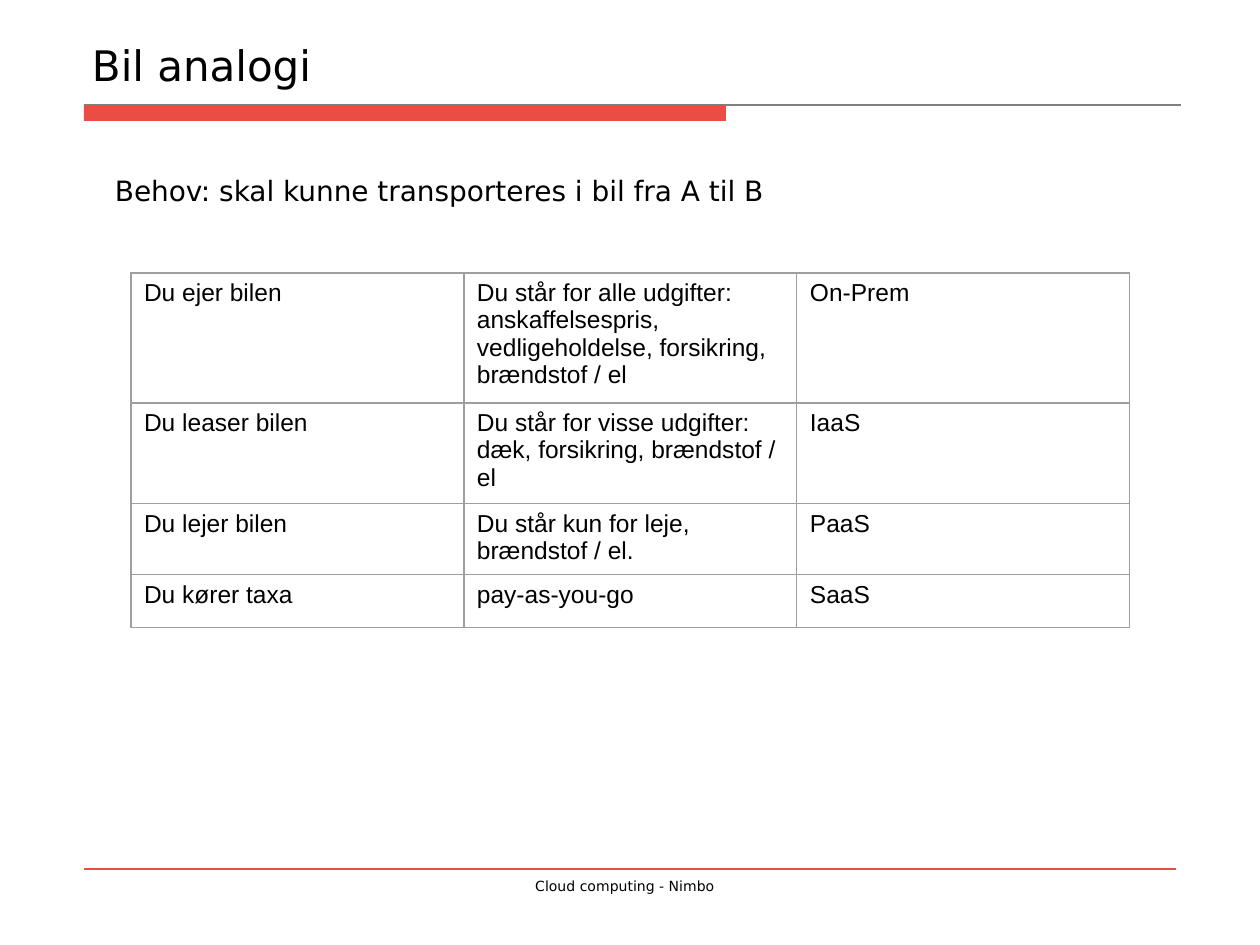
"""Builds the slide that compares ways of using a car with cloud service models."""
from lxml import etree
from pptx import Presentation
from pptx.dml.color import RGBColor
from pptx.enum.shapes import MSO_CONNECTOR, MSO_SHAPE
from pptx.enum.text import MSO_ANCHOR, PP_ALIGN
from pptx.oxml.ns import qn
from pptx.util import Emu, Pt

STRAIGHT = MSO_CONNECTOR.STRAIGHT
RECTANGLE = MSO_SHAPE.RECTANGLE
TOP, BOTTOM = MSO_ANCHOR.TOP, MSO_ANCHOR.BOTTOM
LEFT, CENTER = PP_ALIGN.LEFT, PP_ALIGN.CENTER

EMU_PER_PX = 914400 // 126
COLORS = {"accent": "EA4D44", "rule": "808080", "border": "9E9E9E", "text": "000000"}
HEADING_FONT, TABLE_FONT = "DejaVu Sans", "Arial"
INSET, CELL_INSET = 13, 6
COLUMN_WIDTH = 333
ROW_HEIGHTS = [130, 101, 71, 53]
ROWS = [
    ("Du ejer bilen",
     "Du står for alle udgifter: anskaffelsespris, vedligeholdelse, forsikring, brændstof / el",
     "On-Prem"),
    ("Du leaser bilen", "Du står for visse udgifter: dæk, forsikring, brændstof / el", "IaaS"),
    ("Du lejer bilen", "Du står kun for leje, brændstof / el.", "PaaS"),
    ("Du kører taxa", "pay-as-you-go", "SaaS"),
]


def px(length):
    return Emu(length * EMU_PER_PX)


def color(name):
    return RGBColor.from_string(COLORS[name])


def add_span(para, text, size, font):
    span = para.add_run()
    span.text = text
    span.font.size = Pt(size)
    span.font.name = font
    span.font.color.rgb = color("text")


def add_text(page, bounds, text, size, anchor=TOP, align=LEFT):
    box = page.shapes.add_textbox(*map(px, bounds))
    frame = box.text_frame
    frame.word_wrap = True
    frame.vertical_anchor = anchor
    frame.margin_left = frame.margin_right = px(INSET)
    frame.margin_top = frame.margin_bottom = px(INSET)
    para = frame.paragraphs[0]
    para.alignment = align
    add_span(para, text, size, HEADING_FONT)


def add_rule(page, left, right, y, color_name):
    rule = page.shapes.add_connector(STRAIGHT, px(left), px(y), px(right), px(y))
    rule.line.color.rgb = color(color_name)
    rule.line.width = Pt(0.75)
    properties = rule._element.find(qn("p:spPr"))
    etree.SubElement(properties, qn("a:effectLst"))


def add_bar(page, bounds):
    bar = page.shapes.add_shape(RECTANGLE, *map(px, bounds))
    bar.shadow.inherit = False
    bar.fill.solid()
    bar.fill.fore_color.rgb = color("accent")
    bar.line.fill.background()


def set_borders(cell):
    properties = cell._tc.get_or_add_tcPr()
    for side in ("lnL", "lnR", "lnT", "lnB"):
        border = etree.SubElement(properties, qn(f"a:{side}"), w=str(Pt(0.75)))
        fill = etree.SubElement(border, qn("a:solidFill"))
        etree.SubElement(fill, qn("a:srgbClr"), val=COLORS["border"])


def fill_cell(cell, text):
    set_borders(cell)
    cell.fill.background()
    cell.margin_left = cell.margin_right = px(INSET)
    cell.margin_top = cell.margin_bottom = px(CELL_INSET)
    add_span(cell.text_frame.paragraphs[0], text, 14, TABLE_FONT)


def add_comparison(page, left, top):
    columns = len(ROWS[0])
    bounds = (left, top, columns * COLUMN_WIDTH, sum(ROW_HEIGHTS))
    table = page.shapes.add_table(len(ROWS), columns, *map(px, bounds)).table
    table.first_row = table.horz_banding = False
    for column in table.columns:
        column.width = px(COLUMN_WIDTH)
    for row, height, texts in zip(table.rows, ROW_HEIGHTS, ROWS):
        row.height = px(height)
        for cell, text in zip(row.cells, texts):
            fill_cell(cell, text)


def main():
    deck = Presentation()
    deck.slide_width, deck.slide_height = px(1260), px(945)
    page = deck.slides.add_slide(deck.slide_layouts[6])
    add_rule(page, 84, 1176, 869, "accent")
    add_rule(page, 84, 1181, 105, "rule")
    add_bar(page, (84, 105, 642, 16))
    add_text(page, (232, 869, 786, 55), "Cloud computing - Nimbo", 8, align=CENTER)
    add_text(page, (79, 20, 1102, 83), "Bil analogi", 24, anchor=BOTTOM)
    add_text(page, (102, 161, 756, 59), "Behov: skal kunne transporteres i bil fra A til B", 16)
    add_comparison(page, 131, 273)
    deck.save("out.pptx")


if __name__ == "__main__":
    main()
